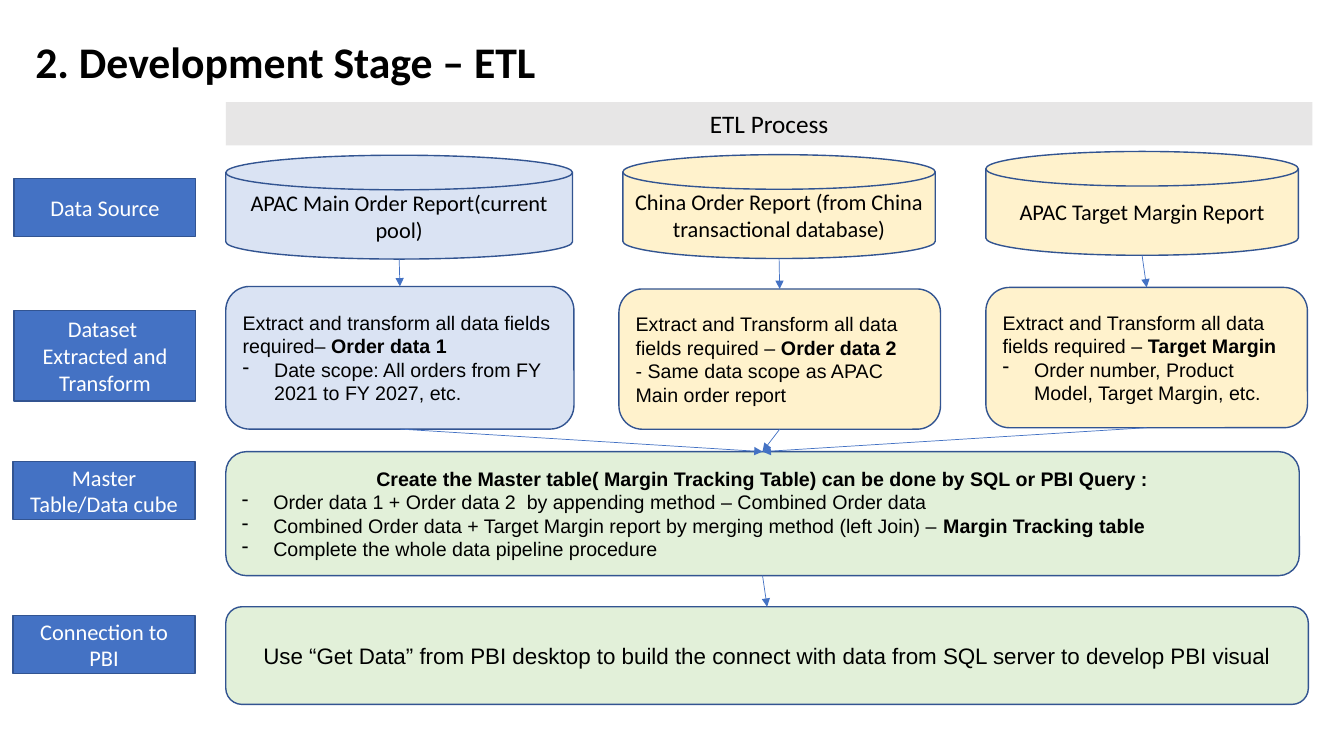
from lxml import etree
from pptx import Presentation
from pptx import util as u
from pptx.dml.color import RGBColor
from pptx.enum import shapes, text
from pptx.oxml import ns

BLACK = RGBColor(0x00, 0x00, 0x00)
WHITE = RGBColor(0xFF, 0xFF, 0xFF)
BLUE = RGBColor(0x44, 0x72, 0xC4)
NAVY = RGBColor(0x32, 0x54, 0x91)
PALE = RGBColor(0xDA, 0xE3, 0xF3)
CREAM = RGBColor(0xFF, 0xF2, 0xCC)
GREEN = RGBColor(0xE2, 0xF0, 0xD9)
GREY = RGBColor(0xE7, 0xE6, 0xE6)

KIND = shapes.MSO_SHAPE
LEFT, MID = text.PP_ALIGN.LEFT, text.PP_ALIGN.CENTER
SANS, HEAD = "Arial", "Calibri"
EDGE = 161.3


class Board:
    def __init__(self, slide):
        self.slide = slide

    def label(self, frame, paras, size, font, color):
        frame.word_wrap = True
        frame.auto_size = text.MSO_AUTO_SIZE.NONE
        frame.vertical_anchor = text.MSO_ANCHOR.MIDDLE
        for n, (align, dash, runs) in enumerate(paras):
            para = frame.add_paragraph() if n else frame.paragraphs[0]
            para.alignment = align
            if dash:
                self.dash(para)
            for words, bold in runs:
                run = para.add_run()
                run.text = words
                run.font.size = u.Pt(size)
                run.font.name = font
                run.font.bold = bold
                run.font.color.rgb = color

    def dash(self, para):
        props = para._p.get_or_add_pPr()
        props.set("marL", str(u.Pt(22.5)))
        props.set("indent", str(u.Pt(-22.5)))
        etree.SubElement(props, ns.qn("a:buChar")).set("char", "-")

    def title(self, words, x, y, w, h):
        head = self.slide.shapes.title
        head.left, head.top, head.width, head.height = map(u.Pt, (x, y, w, h))
        self.label(head.text_frame, [(LEFT, False, [(words, True)])], 31.2, HEAD, BLACK)
        head.text_frame.paragraphs[0].line_spacing = 0.8

    def shape(self, kind, area, fill, paras, size, font=HEAD, color=BLACK, line=NAVY):
        item = self.slide.shapes.add_shape(kind, *map(u.Pt, area))
        item.shadow.inherit = False
        item.fill.solid()
        item.fill.fore_color.rgb = fill
        if line is None:
            item.line.fill.background()
        else:
            item.line.color.rgb = line
            item.line.width = u.Pt(1)
        self.label(item.text_frame, paras, size, font, color)
        return item

    def arrow(self, top, low):
        link = self.slide.shapes.add_connector(
            shapes.MSO_CONNECTOR.STRAIGHT,
            top.left + top.width // 2, top.top + top.height,
            low.left + low.width // 2, low.top)
        link.line.color.rgb = BLUE
        link.line.width = u.Pt(0.5)
        props = link._element.spPr
        tip = etree.SubElement(props.get_or_add_ln(), ns.qn("a:tailEnd"))
        tip.set("type", "triangle")
        etree.SubElement(props, ns.qn("a:effectLst"))


def plain(words, align=MID):
    return [(align, False, [(words, False)])]


def main():
    deck = Presentation()
    deck.slide_width, deck.slide_height = u.Pt(960), u.Pt(540)
    board = Board(deck.slides.add_slide(deck.slide_layouts[5]))

    board.title("2. Development Stage – ETL", 18, 27.4, 890, 38.9)
    board.shape(KIND.RECTANGLE, (EDGE, 72.9, 776.2, 31), GREY,
                plain("ETL Process"), 18, line=None)

    labels = [
        ("Data Source", 10.1, 127.6, 41.2),
        ("Dataset  Extracted and Transform", 10.1, 221.8, 64.8),
        ("Master Table/Data cube", 9.4, 329.8, 41.2),
        ("Connection to PBI", 9.4, 439.8, 41.2),
    ]
    for words, x, y, h in labels:
        board.shape(KIND.RECTANGLE, (x, y, 129.8, h), BLUE, plain(words), 16, color=WHITE)

    master = board.shape(KIND.ROUNDED_RECTANGLE, (EDGE, 322.6, 766.8, 88.6), GREEN, [
        (MID, False, [("Create the Master table( Margin Tracking Table) can be done by SQL or PBI Query :", True)]),
        (LEFT, True, [("Order data 1 + Order data 2  by appending method – Combined Order data", False)]),
        (LEFT, True, [("Combined Order data + Target Margin report by merging method (left Join) – ", False),
                      ("Margin Tracking table", True)]),
        (LEFT, True, [("Complete the whole data pipeline procedure", False)]),
    ], 14, SANS)
    visual = board.shape(
        KIND.ROUNDED_RECTANGLE, (EDGE, 433.4, 773.3, 69.8), GREEN,
        plain("Use “Get Data” from PBI desktop to build the connect with data from "
              "SQL server to develop PBI visual"), 16, SANS)

    flows = [
        (PALE, "APAC Main Order Report(current pool)", (EDGE, 110.9, 247.7, 74.2),
         (EDGE, 204.6, 248.7, 101.9),
         "Extract and transform all data fields required– ", "Order data 1",
         True, "Date scope: All orders from FY 2021 to FY 2027, etc."),
        (CREAM, "China Order Report (from China transactional database)",
         (444.9, 110.5, 223.2, 74.2), (442.1, 206.4, 229.7, 100.2),
         "Extract and Transform all data fields required – ", "Order data 2",
         False, "- Same data scope as APAC Main order report"),
        (CREAM, "APAC Target Margin Report", (704.2, 108.2, 223.2, 74.2),
         (704.2, 205.3, 229.7, 100.2),
         "Extract and Transform all data fields required – ", "Target Margin",
         True, "Order number, Product Model, Target Margin, etc."),
    ]
    for fill, name, disk, area, lead, data, dash, note in flows:
        source = board.shape(KIND.FLOWCHART_MAGNETIC_DISK, disk, fill, plain(name), 16)
        step = board.shape(KIND.ROUNDED_RECTANGLE, area, fill, [
            (LEFT, False, [(lead, False), (data, True)]),
            (LEFT, dash, [(note, False)]),
        ], 14, SANS)
        board.arrow(source, step)
        board.arrow(step, master)
    board.arrow(master, visual)

    deck.save("out.pptx")


if __name__ == "__main__":
    main()
